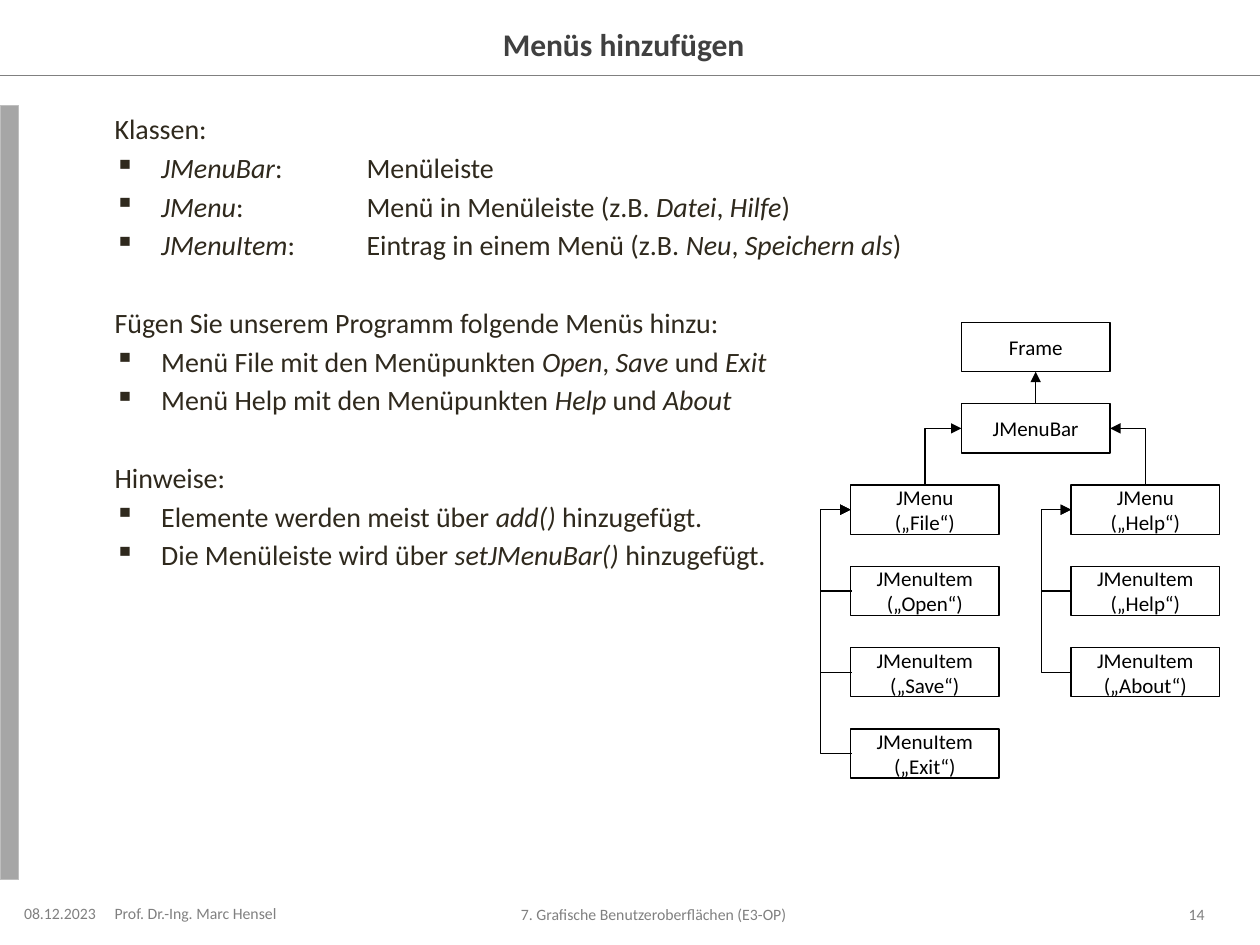
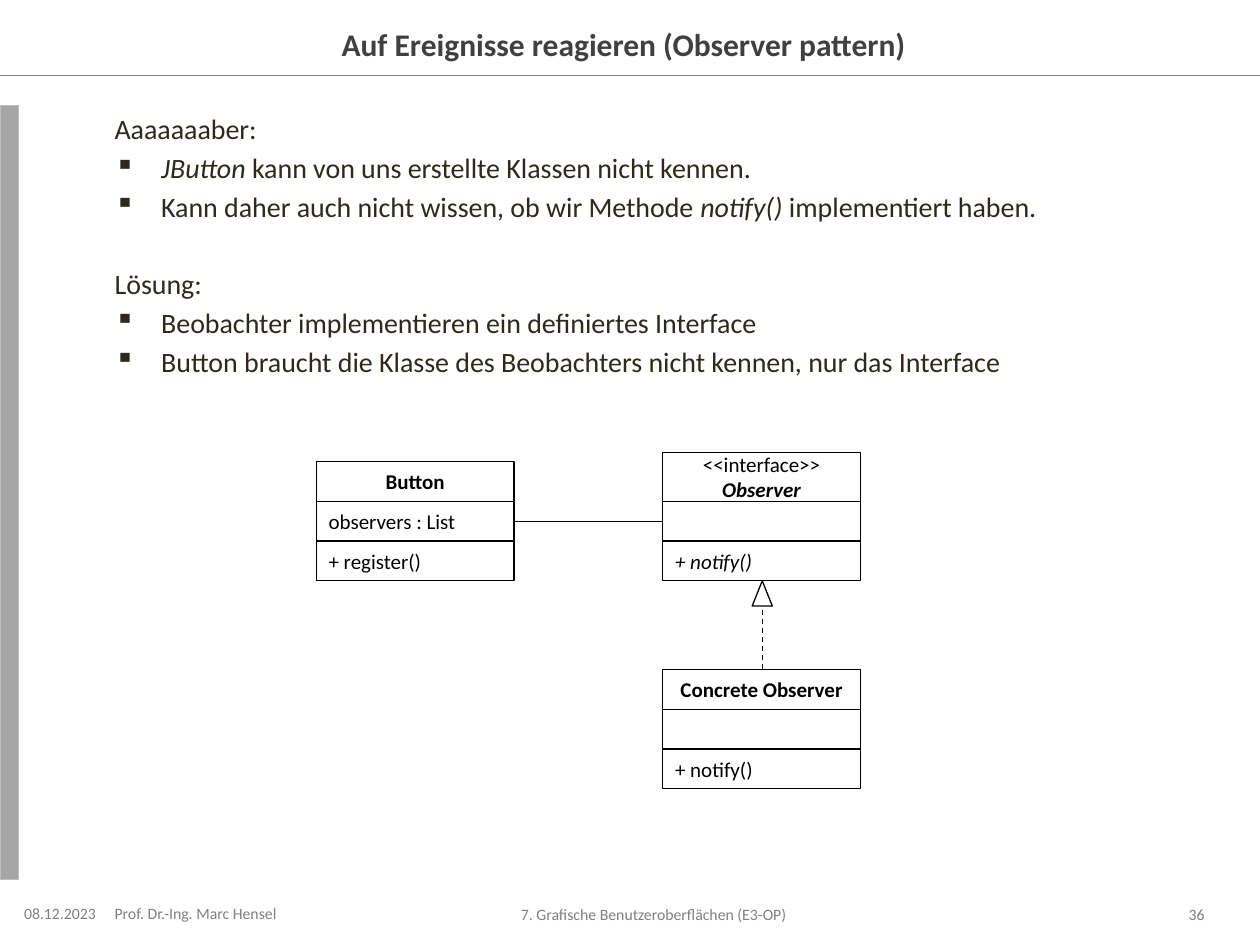
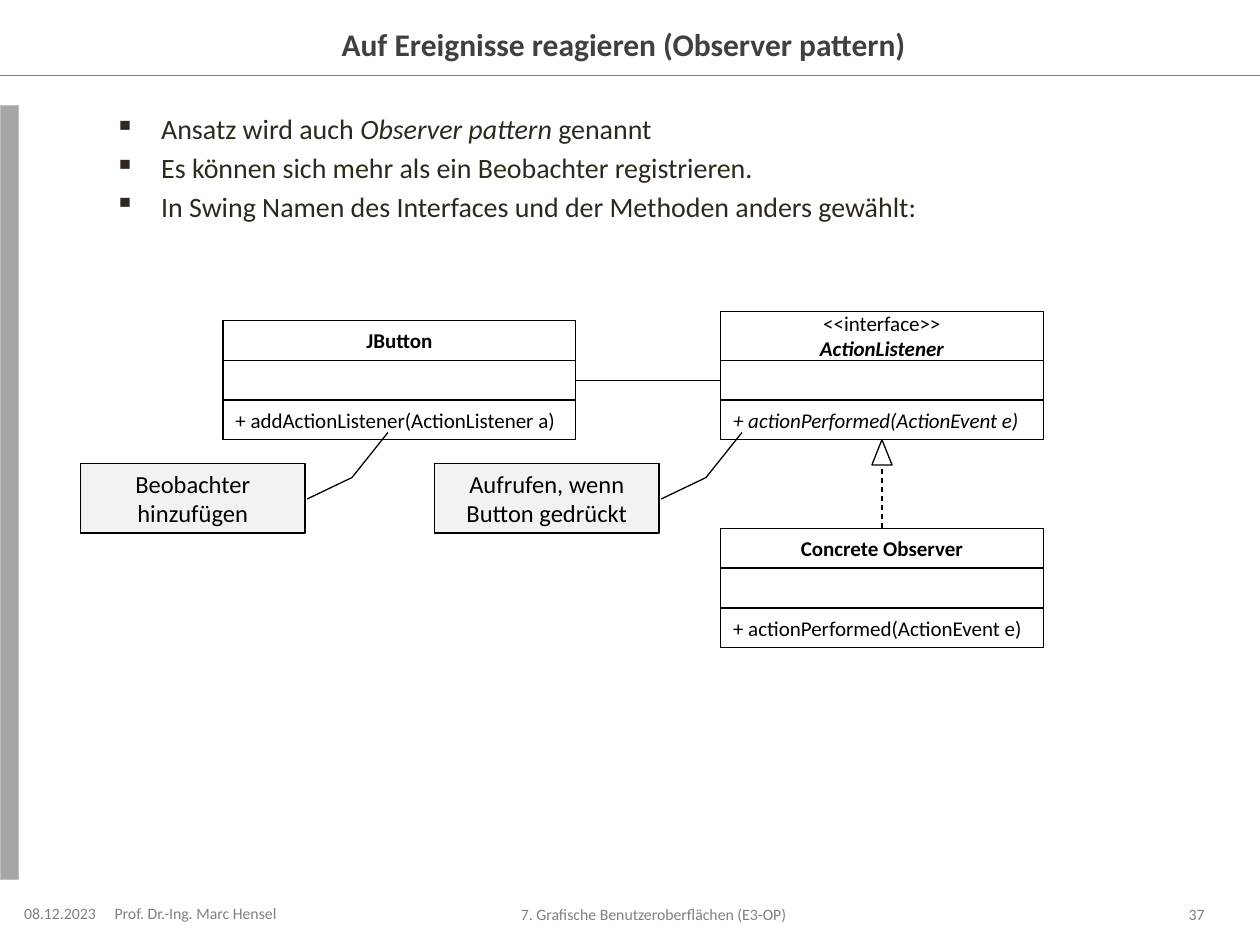
from lxml.etree import SubElement
from pptx import Presentation
from pptx.dml.color import RGBColor
from pptx.enum.dml import MSO_LINE
from pptx.enum.shapes import MSO_CONNECTOR, MSO_SHAPE
from pptx.enum.text import MSO_ANCHOR, MSO_AUTO_SIZE, PP_ALIGN
from pptx.oxml.ns import qn
from pptx.util import Inches, Pt

COLORS = {
    "black": "000000",
    "white": "FFFFFF",
    "title": "404040",
    "body": "2F291D",
    "footer": "808080",
    "band": "A6A6A6",
    "band edge": "BFBFBF",
    "callout": "F2F2F2",
}
FONT = "Calibri"
TOP, LEFT, BOTTOM, RIGHT = range(4)  # connection sites of a rectangle

BODY_INDENT = 0.37
BODY_TAB = 2
LINE_GAP = 2.9
GROUP_GAP = 25.2

NODE_WIDTH, NODE_HEIGHT = 1.18, 0.39
LEVEL = 1.29 / 2
TREE_TOP = 2.56
ROW = 0.63 / 2
INTERFACE_HEADER = 0.39


class Deck:
    def __init__(self):
        self.presentation = Presentation()
        self.presentation.slide_width = Inches(10)
        self.presentation.slide_height = Inches(7.5)
        self.slide = None

    def color(self, name):
        return RGBColor.from_string(COLORS[name])

    def style(self, paragraph, size, color="black", align=PP_ALIGN.LEFT, bold=None, italic=None):
        paragraph.alignment = align
        font = paragraph.font
        font.name, font.size = FONT, Pt(size)
        font.bold, font.italic = bold, italic
        font.color.rgb = self.color(color)

    def outline(self, line, color="black"):
        line.color.rgb = self.color(color)
        line.width = Pt(0.75)

    def frame(self, shape, left=0, right=0.1, anchor=MSO_ANCHOR.MIDDLE):
        frame = shape.text_frame
        frame.word_wrap = True
        frame.auto_size = MSO_AUTO_SIZE.NONE
        frame.vertical_anchor = anchor
        frame.margin_left, frame.margin_right = Inches(left), Inches(right)
        frame.margin_top = frame.margin_bottom = Inches(0.05)
        return frame

    def start_slide(self, title, number):
        """Add a slide with title, header line, side band and footers."""
        self.slide = self.presentation.slides.add_slide(self.presentation.slide_layouts[5])
        self.line((0, 0.6), (10, 0.6), "footer")
        self.box(0, 0.84, 0.15, 6.14, fill="band", edge="band edge")
        heading = self.slide.shapes.title
        heading.left, heading.top = Inches(1.24), Inches(0.15)
        heading.width, heading.height = Inches(7.52), Inches(0.39)
        frame = self.frame(heading)
        frame.text = title
        self.style(frame.paragraphs[0], 18, "title", PP_ALIGN.CENTER, bold=True)

        self.footer(0.15, 7.17, 0.75, "08.12.2023", PP_ALIGN.CENTER)
        self.footer(0.91, 7.17, 1.5, "Prof. Dr.-Ing. Marc Hensel", PP_ALIGN.LEFT)
        self.footer(2.48, 7.18, 5.51, "7. Grafische Benutzeroberflächen (E3-OP)", PP_ALIGN.CENTER)
        self.footer(8.92, 7.18, 0.64, str(number), PP_ALIGN.RIGHT, margins=(0.1, 0))

    def text_box(self, left, top, width, height):
        return self.slide.shapes.add_textbox(Inches(left), Inches(top), Inches(width), Inches(height))

    def footer(self, left, top, width, text, align, margins=(0, 0.1)):
        frame = self.frame(self.text_box(left, top, width, 0.15), *margins)
        frame.text = text
        self.style(frame.paragraphs[0], 9, "footer", align)

    def body(self, *groups):
        """Write groups of (heading or None, bullets); *stars* mark italics."""
        frame = self.frame(self.text_box(0.91, 0.84, 8.66, 6.14), anchor=MSO_ANCHOR.TOP)
        paragraph = frame.paragraphs[0]
        for group_index, (heading, bullets) in enumerate(groups):
            entries = ([(heading, False)] if heading else []) + [(text, True) for text in bullets]
            for entry_index, (text, bulleted) in enumerate(entries):
                if group_index or entry_index:
                    paragraph = frame.add_paragraph()
                self.body_paragraph(paragraph, text, bulleted)
                starts_group = group_index and not entry_index
                paragraph.space_before = Pt(GROUP_GAP if starts_group else LINE_GAP)

    def body_paragraph(self, paragraph, text, bulleted):
        properties = paragraph._p.get_or_add_pPr()
        properties.set("marL", str(Inches(BODY_INDENT)))
        properties.set("indent", str(-Inches(BODY_INDENT)))
        if bulleted:
            SubElement(properties, qn("a:buChar"), char="▪")
        if "\t" in text:
            tabs = SubElement(properties, qn("a:tabLst"))
            SubElement(tabs, qn("a:tab"), pos=str(Inches(BODY_TAB)), algn="l")
        self.style(paragraph, 16, "body")
        for index, part in enumerate(text.split("*")):
            if part:
                run = paragraph.add_run()
                run.text = part
                if index % 2:
                    run.font.italic = True

    def box(self, left, top, width, height, text="", size=12, fill="white", edge="black",
            preset=MSO_SHAPE.RECTANGLE, align=PP_ALIGN.CENTER, **emphasis):
        shape = self.slide.shapes.add_shape(
            preset, Inches(left), Inches(top), Inches(width), Inches(height))
        shape.shadow.inherit = False
        shape.fill.solid()
        shape.fill.fore_color.rgb = self.color(fill)
        self.outline(shape.line, edge)
        if text:
            frame = self.frame(shape, left=0.1)
            frame.text = text
            for paragraph in frame.paragraphs:
                self.style(paragraph, size, align=align, **emphasis)
        return shape

    def line(self, start, end, color="black", kind=MSO_CONNECTOR.STRAIGHT, arrow=False, dash=None):
        ends = [Inches(value) for value in (*start, *end)]
        connector = self.slide.shapes.add_connector(kind, *ends)
        self.outline(connector.line, color)
        if dash:
            connector.line.dash_style = dash
        properties = connector._element.spPr
        if arrow:
            SubElement(properties.find(qn("a:ln")), qn("a:tailEnd"), type="triangle")
        SubElement(properties, qn("a:effectLst"))
        return connector

    def elbow(self, child, parent, sites, preset, frame, turn, flips="", bend=None):
        """Glue a bent arrow to two boxes; frame is its unrotated left, top, width, height."""
        connector = self.line((0, 0), (1, 1), kind=MSO_CONNECTOR.ELBOW, arrow=True)
        connector.begin_connect(child, sites[0])
        connector.end_connect(parent, sites[1])
        connector.left, connector.top, connector.width, connector.height = map(int, frame)
        transform = connector._element.spPr.find(qn("a:xfrm"))
        transform.set("rot", str(turn * 60000))
        transform.set("flipH", str(int("h" in flips)))
        transform.set("flipV", str(int("v" in flips)))
        geometry = connector._element.spPr.find(qn("a:prstGeom"))
        geometry.set("prst", preset)
        if bend:
            SubElement(geometry.find(qn("a:avLst")), qn("a:gd"),
                       name="adj1", fmla=f"val {bend * 100000}")

    def node(self, left, level, text):
        return self.box(left, TREE_TOP + level * LEVEL, NODE_WIDTH, NODE_HEIGHT, text)

    def menu_to_bar(self, menu, bar):
        """Arrow from the top of a menu to the near side of the menu bar."""
        from_left = menu.left < bar.left
        side = bar.left if from_left else bar.left + bar.width
        start_x = menu.left + menu.width / 2
        end_y = bar.top + bar.height / 2
        run, rise = abs(side - start_x), menu.top - end_y
        center_x, center_y = (start_x + side) / 2, (menu.top + end_y) / 2
        frame = (center_x - rise / 2, center_y - run / 2, rise, run)
        self.elbow(menu, bar, (TOP, LEFT if from_left else RIGHT), "bentConnector2", frame,
                   turn=90 if from_left else 270, flips="hv" if from_left else "v")

    def item_to_menu(self, item, menu):
        """Arrow from the left side of an item around to the left side of its menu."""
        frame = (menu.left, menu.top + menu.height / 2, Inches(0.01), item.top - menu.top)
        self.elbow(item, menu, (LEFT, LEFT), "bentConnector3", frame, turn=180, bend=25)

    def menu_branch(self, left, bar, menu_name, item_names):
        menu = self.node(left, 2, f"JMenu\n(„{menu_name}“)")
        self.menu_to_bar(menu, bar)
        for level, name in enumerate(item_names, start=3):
            self.item_to_menu(self.node(left, level, f"JMenuItem\n(„{name}“)"), menu)

    def class_box(self, left, attribute_top, width, name, method, attribute="", interface=False):
        """UML class whose header ends at attribute_top."""
        height = INTERFACE_HEADER if interface else ROW
        text = f"<<interface>>\n{name}" if interface else name
        header = self.box(left, attribute_top - height, width, height, text)
        name_font = header.text_frame.paragraphs[-1].font
        name_font.bold, name_font.italic = True, interface
        self.box(left, attribute_top, width, ROW, attribute, align=PP_ALIGN.LEFT)
        self.box(left, attribute_top + ROW, width, ROW, method,
                 align=PP_ALIGN.LEFT, italic=interface)

    def realization(self, x, top, bottom):
        self.line((x, bottom), (x, top), dash=MSO_LINE.DASH)
        self.box(x - 0.08, top, 0.16, 0.2, preset=MSO_SHAPE.ISOSCELES_TRIANGLE)

    def callout(self, left, text):
        note = self.box(left, 3.68, 1.78, 0.55, text, size=14, fill="callout",
                        preset=MSO_SHAPE.LINE_CALLOUT_2)
        for index, value in enumerate((0.51, 1.01, 0.2, 1.21, -0.45, 1.37)):
            note.adjustments[index] = value


def menu_slide(deck):
    deck.start_slide("Menüs hinzufügen", 14)
    deck.body(
        ("Klassen:", [
            "*JMenuBar*:\tMenüleiste",
            "*JMenu*:\tMenü in Menüleiste (z.B. *Datei*, *Hilfe*)",
            "*JMenuItem*:\tEintrag in einem Menü (z.B. *Neu*, *Speichern als*)",
        ]),
        ("Fügen Sie unserem Programm folgende Menüs hinzu:", [
            "Menü File mit den Menüpunkten *Open*, *Save* und *Exit*",
            "Menü Help mit den Menüpunkten *Help* und *About*",
        ]),
        ("Hinweise:", [
            "Elemente werden meist über *add()* hinzugefügt.",
            "Die Menüleiste wird über *setJMenuBar()* hinzugefügt.",
        ]),
    )
    window = deck.node(7.63, 0, "Frame")
    bar = deck.node(7.63, 1, "JMenuBar")
    bar_to_window = deck.line((8.22, 3.21), (8.22, 2.95), arrow=True)
    bar_to_window.begin_connect(bar, TOP)
    bar_to_window.end_connect(window, BOTTOM)
    deck.menu_branch(6.75, bar, "File", ("Open", "Save", "Exit"))
    deck.menu_branch(8.5, bar, "Help", ("Help", "About"))


def observer_slide(deck):
    deck.start_slide("Auf Ereignisse reagieren (Observer pattern)", 36)
    deck.body(
        ("Aaaaaaaber:", [
            "*JButton* kann von uns erstellte Klassen nicht kennen.",
            "Kann daher auch nicht wissen, ob wir Methode *notify()* implementiert haben.",
        ]),
        ("Lösung:", [
            "Beobachter implementieren ein definiertes Interface",
            "Button braucht die Klasse des Beobachters nicht kennen, nur das Interface",
        ]),
    )
    deck.class_box(2.51, 3.98, 1.57, "Button", "+ register()", attribute="observers : List")
    deck.class_box(5.26, 5.63, 1.57, "Concrete Observer", "+ notify()")
    deck.class_box(5.26, 3.98, 1.57, "Observer", "+ notify()", interface=True)
    deck.line((4.08, 4.14), (5.26, 4.14))
    deck.realization(6.05, 4.61, 5.31)


def listener_slide(deck):
    deck.start_slide("Auf Ereignisse reagieren (Observer pattern)", 37)
    deck.body((None, [
        "Ansatz wird auch *Observer pattern* genannt",
        "Es können sich mehr als ein Beobachter registrieren.",
        "In Swing Namen des Interfaces und der Methoden anders gewählt:",
    ]))
    deck.class_box(1.77, 2.86, 2.8, "JButton", "+ addActionListener(ActionListener a)")
    deck.class_box(5.72, 4.51, 2.56, "Concrete Observer", "+ actionPerformed(ActionEvent e)")
    deck.class_box(5.72, 2.86, 2.56, "ActionListener", "+ actionPerformed(ActionEvent e)",
                   interface=True)
    deck.line((4.57, 3.02), (5.72, 3.02))
    deck.realization(7, 3.49, 4.19)
    deck.callout(0.64, "Beobachter hinzufügen")
    deck.callout(3.45, "Aufrufen, wenn Button gedrückt")


def main():
    deck = Deck()
    menu_slide(deck)
    observer_slide(deck)
    listener_slide(deck)
    deck.presentation.save("out.pptx")


if __name__ == "__main__":
    main()
